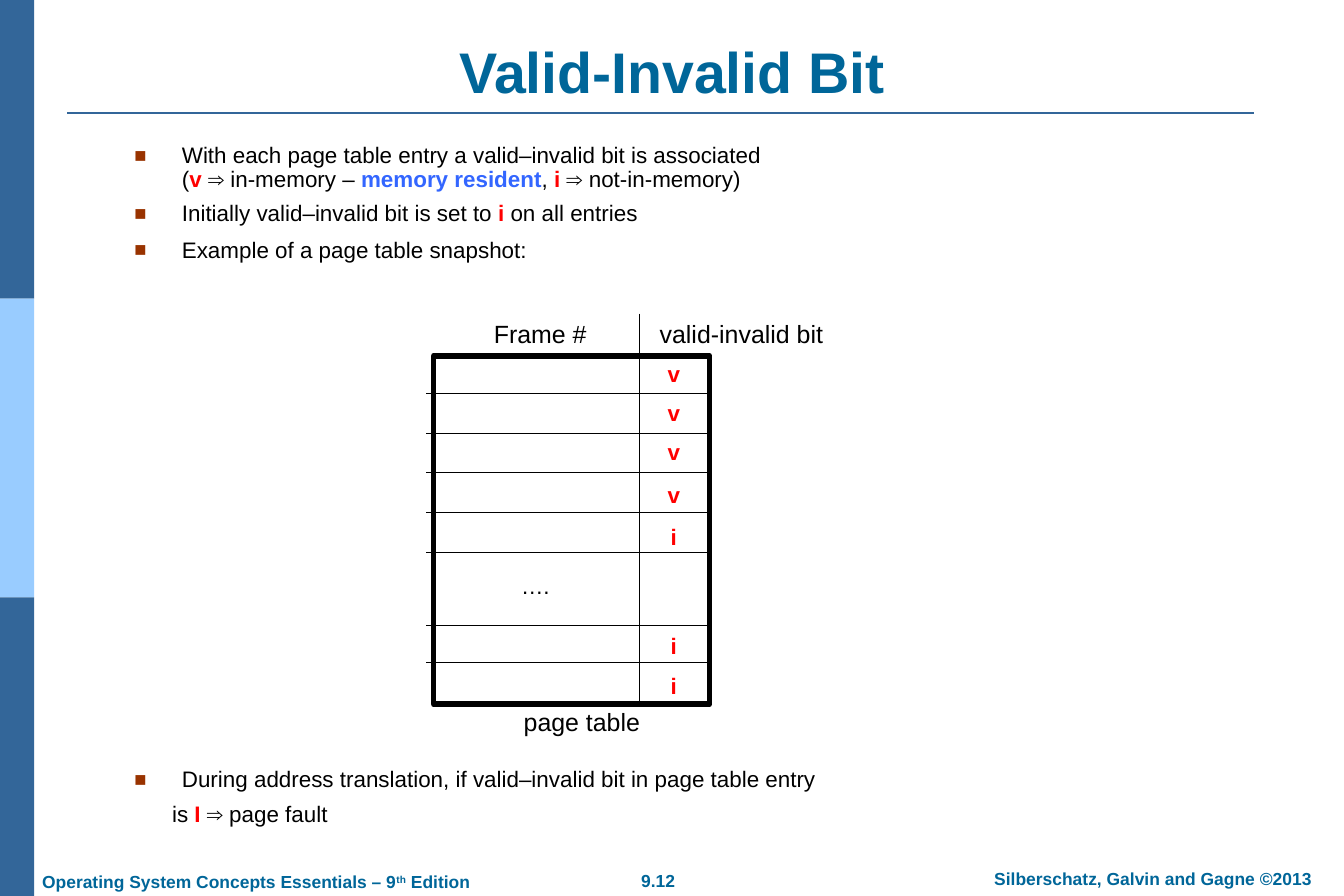
"""Build the slide on the valid-invalid bit of a page table."""
from copy import deepcopy
from dataclasses import dataclass

from lxml import etree
from pptx import Presentation
from pptx.dml.color import RGBColor
from pptx.enum.shapes import MSO_CONNECTOR, MSO_SHAPE
from pptx.enum.text import MSO_ANCHOR, MSO_AUTO_SIZE, PP_ALIGN
from pptx.oxml.ns import qn
from pptx.util import Inches, Pt

LEFT, CENTER = PP_ALIGN.LEFT, PP_ALIGN.CENTER
TOP, MIDDLE, BOTTOM = MSO_ANCHOR.TOP, MSO_ANCHOR.MIDDLE, MSO_ANCHOR.BOTTOM
FIXED = MSO_AUTO_SIZE.NONE
RECT = MSO_SHAPE.RECTANGLE
STRAIGHT = MSO_CONNECTOR.STRAIGHT

COLUMNS, ROWS = 150, 100
WIDTH, HEIGHT = Inches(15), Inches(10)
FONT = "Arial"
BLACK, WHITE, RED = "000000", "FFFFFF", "FF0000"
TEAL, NAVY, SKY, BLUE, BROWN = "006699", "336699", "99CCFF", "3366FF", "993300"


@dataclass(frozen=True)
class Run:
    """A stretch of text with one format."""
    text: str
    color: str = BLACK
    bold: bool = False
    raised: bool = False


@dataclass(frozen=True)
class Item:
    """A paragraph of the body, with its lines of runs."""
    lines: list[list[Run]]
    before: float = 7.9
    bullet: bool = True


@dataclass(frozen=True)
class Label:
    """A text box placed by its centre on the grid."""
    x: float
    y: float
    width: float
    runs: list[Run]
    size: float
    align: PP_ALIGN = CENTER


BARS = [NAVY, SKY, NAVY]
RULES = [43.9 + 4.43 * i for i in range(5)] + [69.8, 73.9]
BITS = zip("vvvviii", [41.7, 46, 50.4, 55.2, 59.9, 72.1, 76.5])

ITEMS = [
    Item([[Run("With each page table entry a valid–invalid bit is associated")],
          [Run("("), Run("v ", RED, True), Run("⇒ in-memory – "),
           Run("memory resident", BLUE, True), Run(", "),
           Run("i ", RED, True), Run("⇒ not-in-memory)")]]),
    Item([[Run("Initially valid–invalid bit is set to"),
           Run(" i ", RED, True), Run("on all entries")]]),
    Item([[Run("Example of a page table snapshot:")]], before=10),
    Item([[Run("During address translation, if valid–invalid bit "
               "in page table entry")]], before=406),
    Item([[Run("is"), Run(" I ", RED, True), Run("⇒ page fault")]],
         bullet=False),
]

LABELS = [
    Label(60.3, 37.2, 16, [Run("Frame #")], 20),
    Label(82.75, 37.2, 22, [Run("valid-invalid bit")], 20),
    Label(64.95, 80.5, 16, [Run("page table")], 20),
    Label(59.75, 65.4, 6, [Run("….")], 18),
    *(Label(75.2, y, 4, [Run(bit, RED, True)], 18) for bit, y in BITS),
    Label(73.45, 98.3, 10, [Run("9.12", TEAL, True)], 14),
    Label(128.7, 98, 40,
          [Run("Silberschatz, Galvin and Gagne ©2013", TEAL, True)], 14),
    Label(30.7, 98.4, 52,
          [Run("Operating System Concepts Essentials – 9", TEAL, True),
           Run("th", TEAL, True, True), Run(" Edition", TEAL, True)], 14, LEFT),
]


def col(x: float) -> int:
    """Return the length of x grid columns."""
    return round(x * WIDTH / COLUMNS)


def row(y: float) -> int:
    """Return the length of y grid rows."""
    return round(y * HEIGHT / ROWS)


def rgb(color: str) -> RGBColor:
    """Turn a hex string into a colour."""
    return RGBColor.from_string(color)


def add_text(p, text: str, *, size: float, color: str = BLACK,
             bold: bool = False, raised: bool = False) -> None:
    """Add one formatted run to a paragraph."""
    r = p.add_run()
    r.text = text
    r.font.name, r.font.size, r.font.bold = FONT, Pt(size), bold
    r.font.color.rgb = rgb(color)
    if raised:
        r.font._element.set("baseline", "30000")


def add_runs(p, runs: list[Run], size: float) -> None:
    """Add a line of runs to a paragraph."""
    for run in runs:
        add_text(p, run.text, size=size, color=run.color, bold=run.bold,
                 raised=run.raised)


def set_frame(tf, anchor: MSO_ANCHOR, inset_x: float, inset_y: float) -> None:
    """Set the wrapping, anchor and insets of a text frame."""
    tf.word_wrap, tf.auto_size, tf.vertical_anchor = True, FIXED, anchor
    tf.margin_left = tf.margin_right = col(inset_x)
    tf.margin_top = tf.margin_bottom = row(inset_y)


def place(sp, x: float, y: float, w: float, h: float) -> None:
    """Move a shape to a box on the grid."""
    sp.left, sp.top, sp.width, sp.height = col(x), row(y), col(w), row(h)


def add_rect(s, x: float, y: float, w: float, h: float, fill: str,
             line: float = 0) -> None:
    """Draw a filled rectangle with an optional black outline."""
    sp = s.shapes.add_shape(RECT, col(x), row(y), col(w), row(h))
    sp.shadow.inherit = False
    sp.fill.solid()
    sp.fill.fore_color.rgb = rgb(fill)
    if line:
        sp.line.color.rgb, sp.line.width = rgb(BLACK), Pt(line)
    else:
        sp.line.fill.background()


def add_line(s, x1: float, y1: float, x2: float, y2: float,
             color: str = BLACK, width: float = 0.75) -> None:
    """Draw a straight line between two grid points."""
    sp = s.shapes.add_connector(STRAIGHT, col(x1), row(y1), col(x2), row(y2))
    sp.line.color.rgb, sp.line.width = rgb(color), Pt(width)
    etree.SubElement(sp._element.spPr, qn("a:effectLst"))


def add_label(s, label: Label) -> None:
    """Draw a label around its centre."""
    h = 4
    sp = s.shapes.add_textbox(col(label.x - label.width / 2),
                              row(label.y - h / 2), col(label.width), row(h))
    set_frame(sp.text_frame, MIDDLE, 0, 0)
    p = sp.text_frame.paragraphs[0]
    p.alignment = label.align
    add_runs(p, label.runs, label.size)


def set_bullet(p, bullet: bool) -> None:
    """Set the indent of a paragraph and its square bullet."""
    ppr = p._p.get_or_add_pPr()
    ppr.set("marL", str(col(5.3 if bullet else 4.2)))
    ppr.set("indent", str(-col(5.3) if bullet else 0))
    if not bullet:
        etree.SubElement(ppr, qn("a:buNone"))
        return
    clr = etree.SubElement(ppr, qn("a:buClr"))
    etree.SubElement(clr, qn("a:srgbClr"), val=BROWN)
    etree.SubElement(ppr, qn("a:buSzPct"), val="90000")
    etree.SubElement(ppr, qn("a:buFont"), typeface=FONT)
    etree.SubElement(ppr, qn("a:buChar"), char="■")


def add_item(p, item: Item, size: float = 18) -> None:
    """Fill a body paragraph with an item."""
    p.alignment, p.line_spacing, p.space_before = LEFT, 0.9, Pt(item.before)
    set_bullet(p, item.bullet)
    for i, runs in enumerate(item.lines):
        if i:
            p.add_line_break()
            p._p[-1].append(deepcopy(p.runs[-1].font._element))
        add_runs(p, runs, size)


def main() -> None:
    """Build and save the slide."""
    prs = Presentation()
    prs.slide_width, prs.slide_height = WIDTH, HEIGHT
    s = prs.slides.add_slide(prs.slide_layouts[1])
    title, body = s.placeholders
    place(title, 7.5, 4, 135, 8.4)
    set_frame(title.text_frame, BOTTOM, 1.4, 0.7)
    p = title.text_frame.paragraphs[0]
    p.alignment = CENTER
    add_text(p, "Valid-Invalid Bit", size=46, color=TEAL, bold=True)
    place(body, 13.6, 15.4, 127.6, 79.8)
    tf = body.text_frame
    set_frame(tf, TOP, 1.4, 0.7)
    for i, item in enumerate(ITEMS):
        add_item(tf.add_paragraph() if i else tf.paragraphs[0], item)
    bar = ROWS / len(BARS)
    for i, color in enumerate(BARS):
        add_rect(s, 0, i * bar, 3.8, bar, color)
    add_line(s, 7.5, 12.6, 140, 12.6, NAVY, 1.5)
    add_rect(s, 48.4, 39.7, 30.8, 38.9, WHITE, 4.5)
    for y in RULES:
        add_line(s, 47.6, y, 78.9, y)
    add_line(s, 71.4, 35, 71.4, 78.3)
    for label in LABELS:
        add_label(s, label)
    prs.save("out.pptx")


if __name__ == "__main__":
    main()
